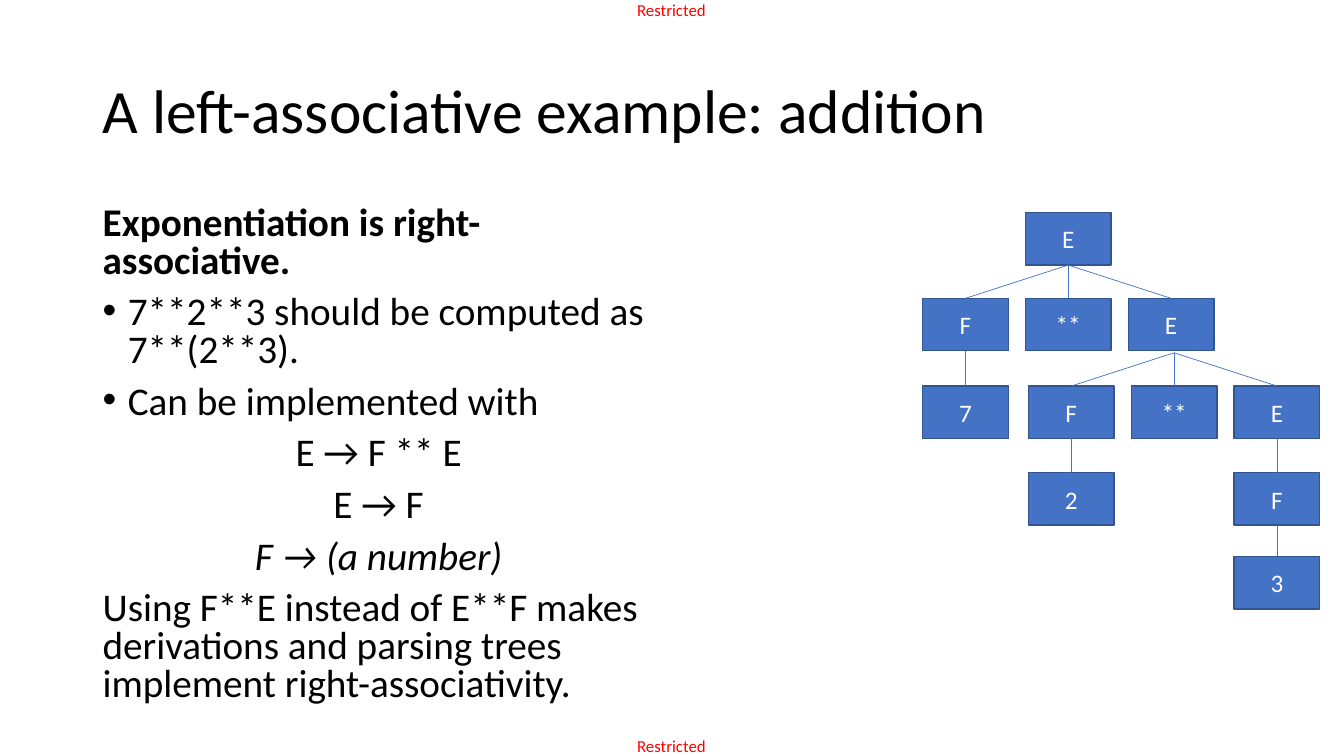
from lxml.etree import SubElement
from pptx import Presentation
from pptx.dml.color import RGBColor
from pptx.enum.shapes import MSO_CONNECTOR, MSO_SHAPE
from pptx.enum.text import MSO_ANCHOR, PP_ALIGN
from pptx.oxml.ns import qn
from pptx.util import Pt

PX = 9144  # 100 px to the inch
BLACK = RGBColor(0, 0, 0)
WHITE = RGBColor(255, 255, 255)
RED = RGBColor(255, 0, 0)
BLUE = RGBColor(0x44, 0x72, 0xC4)
EDGE = RGBColor(0x32, 0x54, 0x91)

BODY = [
    ("Exponentiation is right-associative.", "bold"),
    ("7**2**3 should be computed as 7**(2**3).", "bullet"),
    ("Can be implemented with", "bullet"),
    ("E → F ** E", "rule"),
    ("E → F", "rule"),
    ("F → (a number)", "italic rule"),
    ("Using F**E instead of E**F makes derivations and parsing trees "
     "implement right-associativity.", ""),
]

NODE_W, NODE_H, STEP, GAP = 85, 52, 102, 33
ROWS = [0, 85, 172, 258, 341]
SHIFT = 105  # left edge of the lower subtree


def emu(*sizes):
    return [size * PX for size in sizes]


def style(para, size, color):
    para.font.name = "Calibri"
    para.font.size = Pt(size)
    para.font.color.rgb = color


def text_frame(slide, box, inset=True):
    frame = slide.shapes.add_textbox(*emu(*box)).text_frame
    frame.word_wrap = True
    if not inset:
        frame.margin_left = frame.margin_right = 0
        frame.margin_top = frame.margin_bottom = 0
    return frame


def add_label(slide, box):
    para = text_frame(slide, box, inset=False).paragraphs[0]
    para.text = "Restricted"
    style(para, 12, RED)


def add_title(slide, box):
    frame = text_frame(slide, box)
    frame.vertical_anchor = MSO_ANCHOR.MIDDLE
    para = frame.paragraphs[0]
    para.text = "A left-associative example: addition"
    para.line_spacing = 0.9
    style(para, 44, BLACK)


def add_bullet(para):
    props = para._p.get_or_add_pPr()
    props.set("marL", str(25 * PX))
    props.set("indent", str(-25 * PX))
    SubElement(props, qn("a:buFont")).set("typeface", "Arial")
    SubElement(props, qn("a:buChar")).set("char", "•")


def add_body(slide, box):
    frame = text_frame(slide, box)
    for i, (text, look) in enumerate(BODY):
        para = frame.add_paragraph() if i else frame.paragraphs[0]
        para.text = text
        para.line_spacing = 0.8
        if i:
            para.space_before = Pt(10)
        if "bullet" in look:
            add_bullet(para)
        if "rule" in look:
            para.alignment = PP_ALIGN.CENTER
        style(para, 28, BLACK)
        para.font.bold = "bold" in look
        para.font.italic = "italic" in look


def add_node(slide, text, left, top):
    node = slide.shapes.add_shape(
        MSO_SHAPE.RECTANGLE, *emu(left, top, NODE_W, NODE_H))
    node.shadow.inherit = False
    node.fill.solid()
    node.fill.fore_color.rgb = BLUE
    node.line.color.rgb = EDGE
    node.line.width = Pt(1)
    frame = node.text_frame
    frame.vertical_anchor = MSO_ANCHOR.MIDDLE
    para = frame.paragraphs[0]
    para.text = text
    para.alignment = PP_ALIGN.CENTER
    style(para, 18, WHITE)
    return node


def add_link(slide, child, parent=None, apex=(0, 0)):
    """Join a child's top to its parent's bottom, or to a free apex."""
    line = slide.shapes.add_connector(MSO_CONNECTOR.STRAIGHT, *apex, *apex)
    if parent is not None:
        line.begin_connect(parent, 2)
    line.end_connect(child, 0)
    line.line.color.rgb = BLUE
    line.line.width = Pt(0.5)
    SubElement(line._element.spPr, qn("a:effectLst"))


def add_tree(slide, left, top):
    def node(text, col, row, shift=0):
        return add_node(slide, text, left + shift + col * STEP,
                        top + ROWS[row])

    def trio(row, shift=0):
        return [node(text, col, row, shift)
                for col, text in enumerate(("F", "**", "E"))]

    root = node("E", 1, 0)
    upper = trio(1)
    lower = trio(2, SHIFT)
    for child in upper:
        add_link(slide, child, root)

    mid = lower[1]
    apex = mid.left + mid.width // 2, mid.top - GAP * PX
    for child in lower:
        add_link(slide, child, apex=apex)

    seven = node("7", 0, 2)
    two = node("2", 0, 3, SHIFT)
    last = node("F", 2, 3, SHIFT)
    three = node("3", 2, 4, SHIFT)
    for parent, child in ((upper[0], seven), (lower[0], two),
                          (lower[2], last), (last, three)):
        add_link(slide, child, parent)


def main():
    deck = Presentation()
    deck.slide_width, deck.slide_height = emu(1333, 750)
    slide = deck.slides.add_slide(deck.slide_layouts[6])
    for top in (0, 730):
        add_label(slide, (632, top, 73, 20))
    add_title(slide, (92, 40, 1150, 145))
    add_body(slide, (92, 200, 567, 550))
    add_tree(slide, 915, 211)
    deck.save("out.pptx")


if __name__ == "__main__":
    main()
